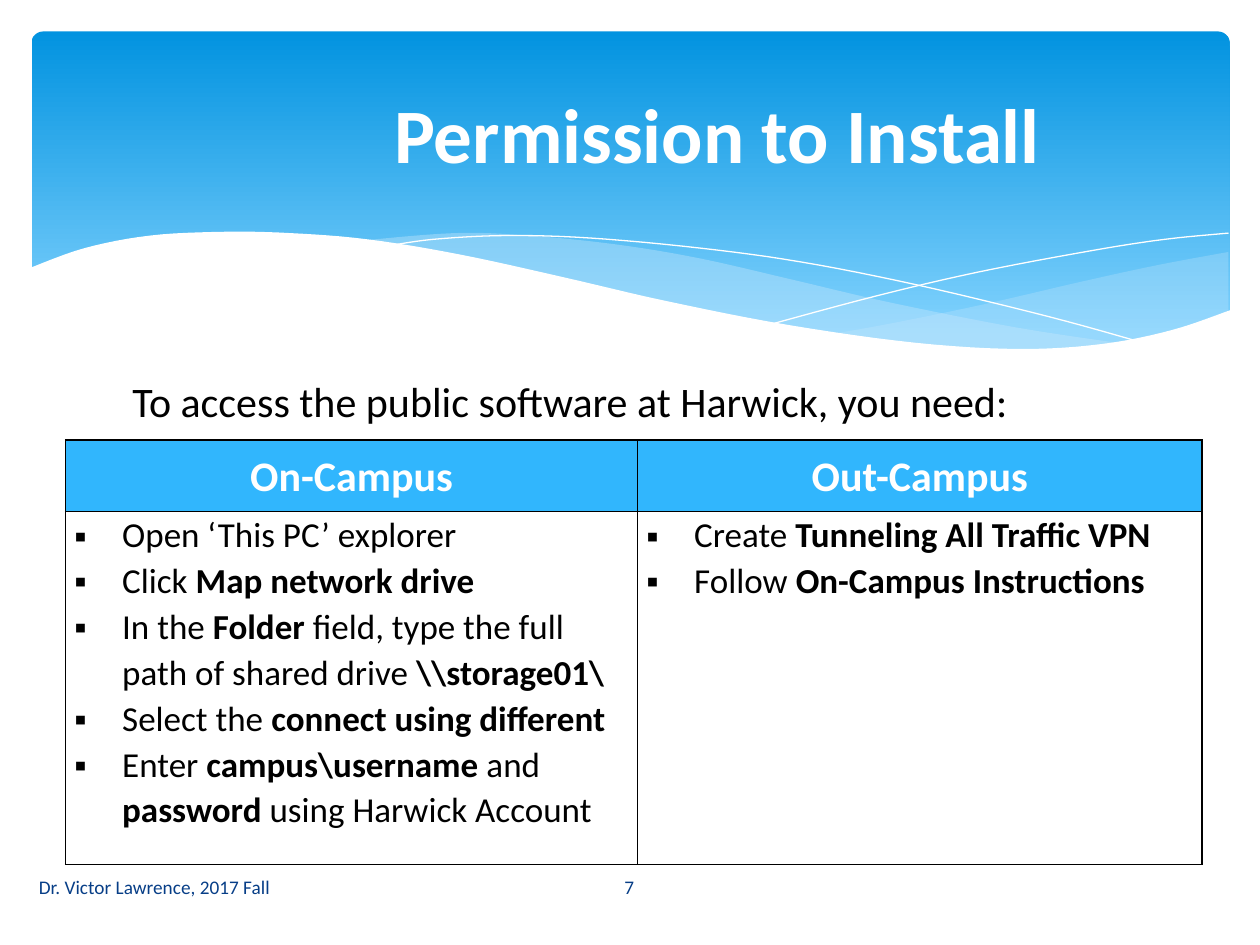
from lxml import etree
from pptx import Presentation
from pptx.dml.color import RGBColor
from pptx.enum.shapes import MSO_SHAPE
from pptx.enum.text import MSO_ANCHOR, PP_ALIGN
from pptx.oxml.ns import qn
from pptx.util import Inches, Pt

ROUNDED = MSO_SHAPE.ROUNDED_RECTANGLE
MIDDLE, TOP = MSO_ANCHOR.MIDDLE, MSO_ANCHOR.TOP
LEFT, CENTER = PP_ALIGN.LEFT, PP_ALIGN.CENTER

WHITE, BLACK, NAVY = "FFFFFF", "000000", "073E87"
BANNER_TOP, BANNER_BOTTOM, HEADER_BLUE, PALE_BLUE = "0293E0", "83D3FE", "31B6FD", "C6E7FC"

# Wave edges in inches from the banner's top left corner; each list is one smooth curve.
RIGHT_WAVE = [
    [(9.5, 1.75), (8.96, 1.85), (8.36, 1.98), (7.54, 2.17), (6.81, 2.32), (6.36, 2.4)],
    [(6.36, 2.4), (6.8, 2.46), (7.32, 2.51), (7.89, 2.53), (8.47, 2.49), (8.96, 2.4),
     (9.5, 2.22)],
]
LONG_WAVE = [
    [(8.68, 2.48), (7.82, 2.35), (6.81, 2.15), (6.04, 1.97), (5.3, 1.8), (4.64, 1.69),
     (3.95, 1.62), (3.36, 1.6), (2.61, 1.66)],
    [(2.61, 1.66), (3.17, 1.74), (3.79, 1.86), (4.24, 1.97), (5.05, 2.15), (5.93, 2.33),
     (6.7, 2.45), (7.36, 2.52), (7.93, 2.53), (8.68, 2.48)],
]
FALLING_LINE = [(2.84, 1.7), (3.19, 1.65), (3.76, 1.62), (4.44, 1.64), (5.31, 1.72),
                (6.11, 1.83), (7.02, 2.01), (8.06, 2.26), (8.82, 2.47)]
RISING_LINE = [(5.88, 2.32), (6.7, 2.1), (7.51, 1.91), (8.41, 1.74), (8.99, 1.65), (9.5, 1.6)]
WHITE_WAVE = [
    [(9.52, 2.21), (9.05, 2.37), (8.5, 2.48), (7.84, 2.52), (7.01, 2.47), (6.01, 2.33),
     (5.04, 2.14), (4.22, 1.95), (3.4, 1.77), (2.67, 1.65), (2.05, 1.6), (1.52, 1.59),
     (0.94, 1.62), (0.42, 1.72), (-0.02, 1.88)],
    [(-0.02, 3.04), (9.52, 3.04)],
]

# Each step is a list of runs: (text, bold).
CAMPUS_STEPS = {
    "On-Campus": [
        [("Open ‘This PC’ explorer", False)],
        [("Click ", False), ("Map network drive", True)],
        [("In the ", False), ("Folder", True),
         (" field, type the full path of shared drive ", False), ("\\\\storage01\\", True)],
        [("Select the ", False), ("connect using different", True)],
        [("Enter ", False), ("campus\\username", True), (" and ", False),
         ("password", True), (" using Harwick Account", False)],
    ],
    "Out-Campus": [
        [("Create ", False), ("Tunneling All Traffic VPN", True)],
        [("Follow ", False), ("On-Campus Instructions", True)],
    ],
}


def rgb(color):
    return RGBColor.from_string(color)


def add_run(paragraph, text, size, color, bold=False):
    run = paragraph.add_run()
    run.text = text
    run.font.color.rgb = rgb(color)
    for name, value in {"name": "Calibri", "size": Pt(size), "bold": bold}.items():
        setattr(run.font, name, value)


def set_bullet(paragraph, char=None, indent=0):
    """Give a hanging bullet, or remove it when there is no character."""
    properties = paragraph._p.get_or_add_pPr()
    properties.set("marL", str(Inches(indent)))
    properties.set("indent", str(-Inches(indent)))
    if char:
        etree.SubElement(properties, qn("a:buFont"), typeface="Arial")
        etree.SubElement(properties, qn("a:buChar"), char=char)
    else:
        etree.SubElement(properties, qn("a:buNone"))


def place(shape, box):
    for name, length in zip(("left", "top", "width", "height"), box):
        setattr(shape, name, Inches(length))


def smooth(knots, steps=6):
    """Catmull-Rom points through the knots."""
    padded = [knots[0], *knots, knots[-1]]
    points = [knots[0]]
    for before, start, end, after in zip(padded, padded[1:], padded[2:], padded[3:]):
        for step in range(1, steps + 1):
            t = step / steps
            points.append(tuple(
                (2 * b + (c - a) * t + (2 * a - 5 * b + 4 * c - d) * t ** 2
                 + (3 * b - a - 3 * c + d) * t ** 3) / 2
                for a, b, c, d in zip(before, start, end, after)))
    return points


def add_curve(slide, box, curves, closed):
    points = [(Inches(box[0] + x), Inches(box[1] + y))
              for curve in curves for x, y in smooth(curve)]
    builder = slide.shapes.build_freeform(*points[0])
    builder.add_line_segments(points[1:], close=closed)
    outline = builder.convert_to_shape()
    outline.shadow.inherit = False
    return outline


def add_wave(slide, box, curves, color, opacity=100):
    wave = add_curve(slide, box, curves, closed=True)
    wave.fill.solid()
    wave.fill.fore_color.rgb = rgb(color)
    wave.line.fill.background()
    if opacity < 100:
        color_node = wave.element.spPr.find(qn("a:solidFill"))[0]
        etree.SubElement(color_node, qn("a:alpha"), val=str(opacity * 1000))


def add_hairline(slide, box, curve):
    hairline = add_curve(slide, box, [curve], closed=False)
    hairline.fill.background()
    hairline.line.color.rgb = rgb(WHITE)
    hairline.line.width = Pt(0)


def add_banner(slide, box):
    banner = slide.shapes.add_shape(ROUNDED, *map(Inches, box))
    banner.adjustments[0] = 0.034
    banner.shadow.inherit = False
    banner.line.fill.background()
    banner.fill.gradient()
    banner.fill.gradient_angle = 270
    stops = zip(banner.fill.gradient_stops, ((0, BANNER_TOP), (0.9, BANNER_BOTTOM)))
    for stop, (position, color) in stops:
        stop.position = position
        stop.color.rgb = rgb(color)
    add_wave(slide, box, RIGHT_WAVE, PALE_BLUE, 29)
    add_wave(slide, box, LONG_WAVE, PALE_BLUE, 40)
    for curve in (FALLING_LINE, RISING_LINE):
        add_hairline(slide, box, curve)
    add_wave(slide, box, WHITE_WAVE, WHITE)


def fill_placeholder(slide, placeholder, box, text, size, color, align, anchor, bold=False):
    """Fill a placeholder and bring it in front of the banner."""
    slide.shapes.element.append(placeholder.element)
    place(placeholder, box)
    frame = placeholder.text_frame
    frame.vertical_anchor = anchor
    paragraph = frame.paragraphs[0]
    paragraph.alignment = align
    set_bullet(paragraph)
    add_run(paragraph, text, size, color, bold)
    return paragraph


def add_footer(slide, box, text, align):
    frame = slide.shapes.add_textbox(*map(Inches, box)).text_frame
    frame.word_wrap = True
    frame.vertical_anchor = MIDDLE
    frame.paragraphs[0].alignment = align
    add_run(frame.paragraphs[0], text, 11, NAVY)


def format_cell(cell, color, anchor):
    margins = {"margin_left": 0.07, "margin_right": 0.07, "margin_top": 0, "margin_bottom": 0}
    for name, length in margins.items():
        setattr(cell, name, Inches(length))
    cell.vertical_anchor = anchor
    properties = cell._tc.get_or_add_tcPr()
    for side in ("lnL", "lnR", "lnT", "lnB"):
        border = etree.SubElement(properties, qn(f"a:{side}"), w=str(Pt(1)))
        etree.SubElement(etree.SubElement(border, qn("a:solidFill")), qn("a:srgbClr"), val=BLACK)
    cell.fill.solid()
    cell.fill.fore_color.rgb = rgb(color)


def add_steps_table(slide, box, column_widths, row_heights):
    table = slide.shapes.add_table(2, len(CAMPUS_STEPS), *map(Inches, box)).table
    for row, height in zip(table.rows, row_heights):
        row.height = Inches(height)
    for index, (campus, steps) in enumerate(CAMPUS_STEPS.items()):
        table.columns[index].width = Inches(column_widths[index])
        header, body = table.cell(0, index), table.cell(1, index)
        format_cell(header, HEADER_BLUE, MIDDLE)
        format_cell(body, WHITE, TOP)
        heading = header.text_frame.paragraphs[0]
        heading.alignment, heading.line_spacing = CENTER, 1.07
        add_run(heading, campus, 24, WHITE, bold=True)
        for number, runs in enumerate(steps):
            frame = body.text_frame
            step = frame.add_paragraph() if number else frame.paragraphs[0]
            step.line_spacing = 1.07
            set_bullet(step, "▪", 0.38)
            for text, bold in runs:
                add_run(step, text, 20, BLACK, bold)


def main():
    prs = Presentation()
    prs.slide_width, prs.slide_height = Inches(10), Inches(7.5)
    slide = prs.slides.add_slide(prs.slide_layouts[1])
    add_banner(slide, (0.25, 0.25, 9.51, 2.7))
    intro = fill_placeholder(slide, slide.placeholders[1], (0.95, 2.93, 8.1, 3.77),
                             "To access the public software at Harwick, you need:",
                             24, BLACK, LEFT, TOP)
    intro.space_before = Pt(4.8)
    add_footer(slide, (4.36, 6.84, 1.27, 0.4), "7", CENTER)
    fill_placeholder(slide, slide.shapes.title, (1.89, 0.37, 7.61, 1.37),
                     "Permission to Install", 44, WHITE, CENTER, MIDDLE, bold=True)
    add_footer(slide, (0.21, 6.84, 4.14, 0.4), "Dr. Victor Lawrence, 2017 Fall", LEFT)
    add_steps_table(slide, (0.52, 3.49, 9.02, 3.38), (4.54, 4.48), (0.57, 2.8))
    prs.save("out.pptx")


if __name__ == "__main__":
    main()
